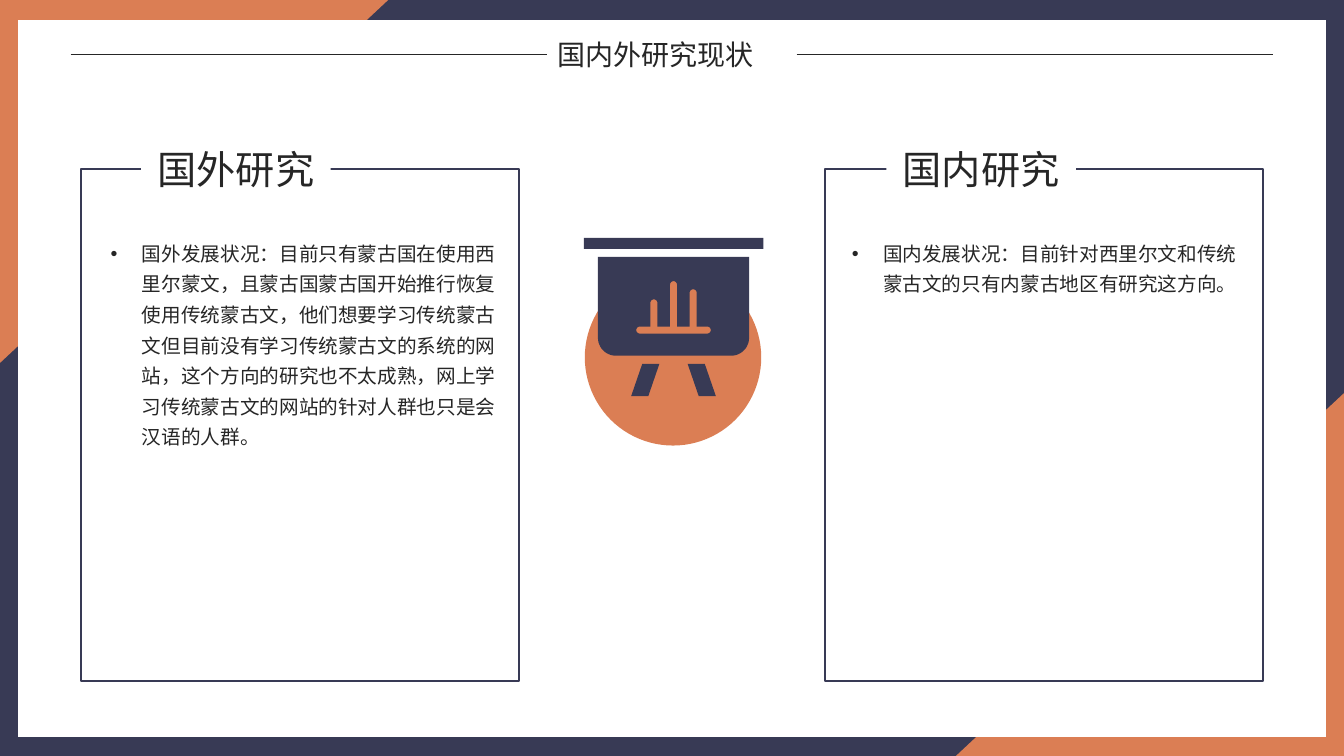
from math import cos, sin, radians
from lxml import etree
from pptx import Presentation
from pptx.dml.color import RGBColor
from pptx.enum import shapes as s, text as t
from pptx.oxml.ns import qn
from pptx.util import Inches, Pt

# Content
TITLE = "国内外研究现状"
PANELS = [  # panel left, heading left, body left, heading, body, body height
    (0.8, 1.4, 1, "国外研究",
     "国外发展状况：目前只有蒙古国在使用西里尔蒙文，且蒙古国蒙古国开始推行恢复使用传统蒙古文，"
     "他们想要学习传统蒙古文但目前没有学习传统蒙古文的系统的网站，这个方向的研究也不太成熟，"
     "网上学习传统蒙古文的网站的针对人群也只是会汉语的人群。", 2.24),
    (8.18, 8.79, 8.35, "国内研究",
     "国内发展状况：目前针对西里尔文和传统蒙古文的只有内蒙古地区有研究这方向。", 1.02),
]
HEX = {"navy": "383A55", "orange": "DB7E54", "white": "FFFFFF", "ink": "262626"}
FONT = "Noto Sans CJK SC"
KIND = s.MSO_SHAPE

prs = Presentation()
prs.slide_width, prs.slide_height = Inches(13.33), Inches(7.5)
slide = prs.slides.add_slide(prs.slide_layouts[6])
slide.background.fill.solid()
slide.background.fill.fore_color.rgb = RGBColor.from_string(HEX["navy"])


def paint(shape, fill=None, line=None):
    shape.shadow.inherit = False
    if fill:
        shape.fill.solid()
        shape.fill.fore_color.rgb = RGBColor.from_string(HEX[fill])
    else:
        shape.fill.background()
    if line:
        shape.line.color.rgb = RGBColor.from_string(HEX[line])
        shape.line.width = Pt(1.5)
    else:
        shape.line.fill.background()
    return shape


def block(kind, box, fill=None, line=None, turn=0):
    shape = slide.shapes.add_shape(kind, *map(Inches, box))
    shape.rotation = turn
    return paint(shape, fill, line)


def write(words, box=None, shape=None, size=14, align=None, space=None, bullet=False):
    shape = shape or slide.shapes.add_textbox(*map(Inches, box))
    frame = shape.text_frame
    frame.word_wrap = True
    frame.auto_size = t.MSO_AUTO_SIZE.SHAPE_TO_FIT_TEXT
    para = frame.paragraphs[0]
    para.alignment = align
    if space:
        para.line_spacing = space
    if bullet:
        props = para._p.get_or_add_pPr()
        props.set("marL", str(Inches(0.31)))
        props.set("indent", str(Inches(-0.31)))
        etree.SubElement(props, qn("a:buFont")).set("typeface", "Arial")
        etree.SubElement(props, qn("a:buChar")).set("char", "•")
    run = para.add_run()
    run.text = words
    run.font.size = Pt(size)
    run.font.name = FONT
    run.font.color.rgb = RGBColor.from_string(HEX["ink"])
    east = etree.SubElement(run._r.get_or_add_rPr(), qn("a:ea"))
    east.set("typeface", FONT)


def arc(x, y, rad, start, end):
    """Points on a circle, angles clockwise from the right."""
    return [(x + rad * cos(radians(start + (end - start) * i / 12)),
             y + rad * sin(radians(start + (end - start) * i / 12))) for i in range(13)]


# Frame: orange corners and white page
for left, top, turn in [(0.12, -0.13, 90), (9.6, 3.77, 270)]:
    block(KIND.RIGHT_TRIANGLE, (left, top, 3.61, 3.86), "orange", turn=turn)
block(KIND.RECTANGLE, (0.18, 0.2, 12.97, 7.11), "white")

# Title between two rules
write(TITLE, (5.43, 0.32, 2.53, 0.44), size=20, align=t.PP_ALIGN.JUSTIFY)
for left in (7.9, 0.7):
    rule = slide.shapes.add_connector(
        s.MSO_CONNECTOR.STRAIGHT, *map(Inches, (left, 0.54, left + 4.73, 0.54)))
    rule.line.color.rgb = RGBColor.from_string(HEX["ink"])
    rule.line.width = Pt(0.5)
    etree.SubElement(rule._element.spPr, qn("a:effectLst"))

# Disc behind the icon
block(KIND.OVAL, (5.8, 2.67, 1.75, 1.75), "orange")

# Panels
for left, head, body, label, words, high in PANELS:
    block(KIND.RECTANGLE, (left, 1.68, 4.35, 5.08), line="navy")
    plate = block(KIND.RECTANGLE, (head, 1.39, 1.88, 0.57), "white")
    write(label, shape=plate, size=28, align=t.PP_ALIGN.CENTER)
    write(words, (body, 2.28, 4.03, high), space=1.3, bullet=True)

# Board icon, with the bar chart cut out of the board
MID, BASE, CAP = 6.68, 3.24, 0.035
chart = arc(6.345, BASE + CAP, CAP, 90, 270)
for x, top in [(6.485, 2.97), (MID, 2.79), (6.875, 2.87)]:
    chart += [(x - CAP, BASE), *arc(x, top + CAP, CAP, 180, 360), (x + CAP, BASE)]
chart += arc(7.015, BASE + CAP, CAP, -90, 90)
board = [(5.93, 2.55), (7.43, 2.55), *arc(7.25, 3.35, 0.18, 0, 90),
         *arc(6.11, 3.35, 0.18, 90, 180)]
rail = [(5.79, 2.36), (7.57, 2.36), (7.57, 2.47), (5.79, 2.47)]
leg = [(0.14, 3.61), (0.31, 3.61), (0.42, 3.93), (0.25, 3.93)]
legs = [[(MID + side * x, y) for x, y in leg] for side in (1, -1)]

# The pen takes whole numbers, so it draws in thousandths of an inch
UNIT = 1000
parts = [[(round(x * UNIT), round(y * UNIT)) for x, y in part]
         for part in (rail, board, chart, *legs)]
pen = slide.shapes.build_freeform(*parts[0][0], scale=Inches(1) / UNIT)
for i, part in enumerate(parts):
    if i:
        pen.move_to(*part[0])
    pen.add_line_segments(part[1:], close=True)
paint(pen.convert_to_shape(), "navy")

prs.save("out.pptx")
